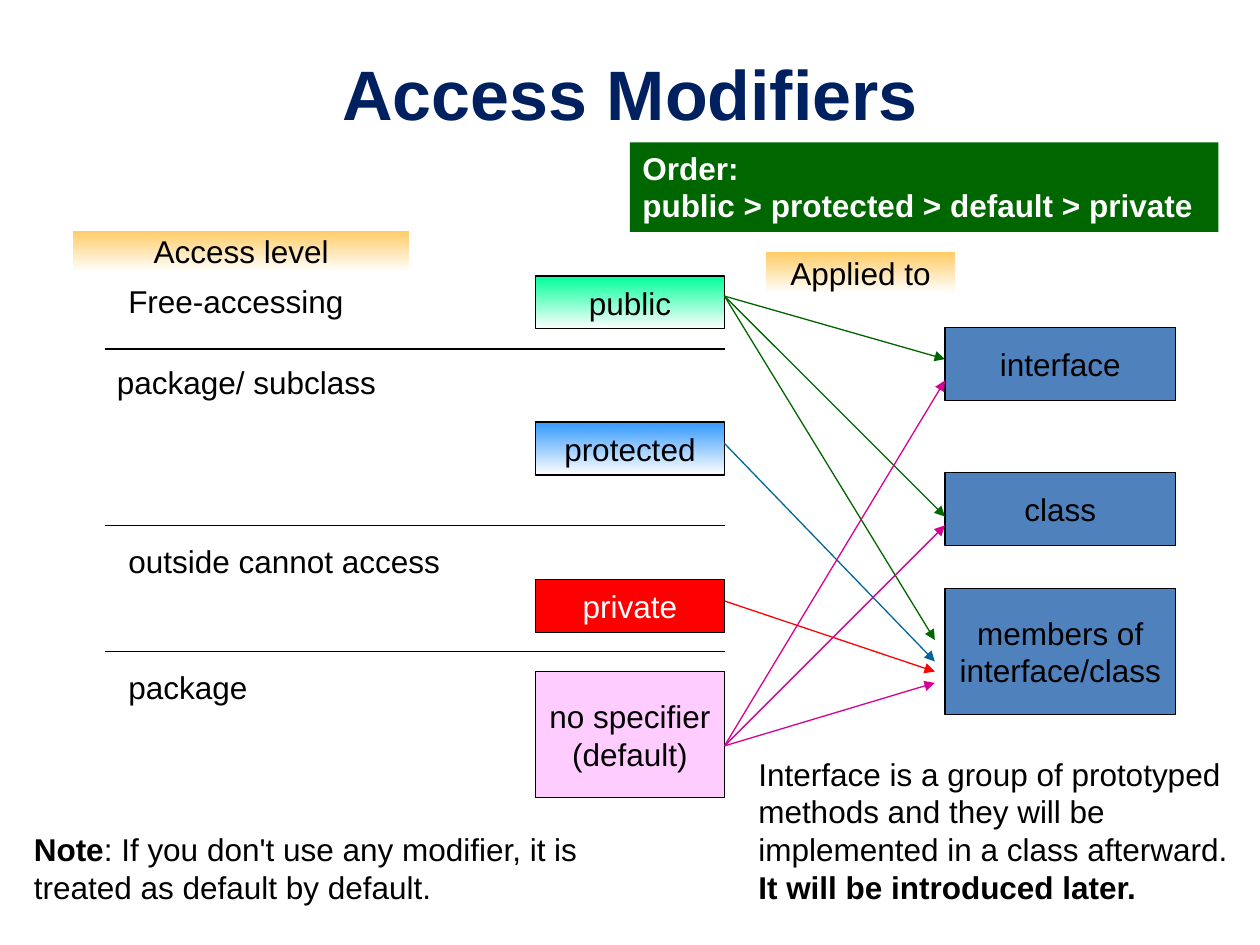
import pptx
import pptx.util
from lxml import etree
from pptx.dml.color import RGBColor
from pptx.enum.shapes import MSO_CONNECTOR, MSO_SHAPE
from pptx.enum.text import MSO_ANCHOR, PP_ALIGN
from pptx.oxml.ns import qn
from pptx.util import Inches

BLACK = RGBColor(0x00, 0x00, 0x00)
WHITE = RGBColor(0xFF, 0xFF, 0xFF)
NAVY = RGBColor(0x00, 0x20, 0x60)
AMBER = RGBColor(0xFF, 0xCC, 0x66)
MINT = RGBColor(0x00, 0xFF, 0x99)
SKY = RGBColor(0x33, 0x99, 0xFF)
RED = RGBColor(0xFF, 0x00, 0x00)
PINK = RGBColor(0xFF, 0xCC, 0xFF)
STEEL = RGBColor(0x4F, 0x81, 0xBD)
GREEN = RGBColor(0x00, 0x66, 0x00)
TEAL = RGBColor(0x00, 0x66, 0x99)
MAGENTA = RGBColor(0xD6, 0x00, 0x93)


class SlideBuilder:
    def __init__(self, slide):
        self.slide = slide
        self.font = "Arial"
        self.size = 18
        self.line_width = pptx.util.Pt(0.75)

    def fill_text(self, shape, paragraphs, color=BLACK, size=None, bold=False,
                  align=PP_ALIGN.LEFT, anchor=MSO_ANCHOR.TOP, wrap=True):
        """Each paragraph is a list of (text, bold) runs or a plain string."""
        frame = shape.text_frame
        frame.word_wrap = wrap
        frame.vertical_anchor = anchor
        for index, content in enumerate(paragraphs):
            paragraph = frame.add_paragraph() if index else frame.paragraphs[0]
            paragraph.alignment = align
            paragraph.font.name = self.font
            paragraph.font.size = pptx.util.Pt(size or self.size)
            paragraph.font.color.rgb = color
            if isinstance(content, str):
                paragraph.font.bold = bold
                paragraph.add_run().text = content
                continue
            for text, run_bold in content:
                run = paragraph.add_run()
                run.text = text
                run.font.bold = run_bold

    def text(self, left, top, width, height, paragraphs, **style):
        box = self.slide.shapes.add_textbox(
            Inches(left), Inches(top), Inches(width), Inches(height))
        self.fill_text(box, paragraphs, **style)

    def rectangle(self, left, top, width, height, paragraphs, fill,
                  fade=False, outline=True, **style):
        """Draw a labelled rectangle; fade runs the fill down to white."""
        shape = self.slide.shapes.add_shape(
            MSO_SHAPE.RECTANGLE,
            Inches(left), Inches(top), Inches(width), Inches(height))
        shape.shadow.inherit = False
        if fade:
            shape.fill.gradient()
            shape.fill.gradient_angle = 270
            for stop, color, position in zip(
                    shape.fill.gradient_stops, (fill, WHITE), (0, 1)):
                stop.color.rgb = color
                stop.position = position
        else:
            shape.fill.solid()
            shape.fill.fore_color.rgb = fill
        if outline:
            shape.line.color.rgb = BLACK
            shape.line.width = self.line_width
        else:
            shape.line.fill.background()
        self.fill_text(shape, paragraphs, **style)

    def label(self, *place, **style):
        self.rectangle(*place, align=PP_ALIGN.CENTER,
                       anchor=MSO_ANCHOR.MIDDLE, wrap=False, **style)

    def line(self, start, end, color=BLACK, arrow=False):
        connector = self.slide.shapes.add_connector(
            MSO_CONNECTOR.STRAIGHT, *map(Inches, start + end))
        connector.line.color.rgb = color
        connector.line.width = self.line_width
        properties = connector._element.spPr
        if arrow:
            outline = properties.find(qn("a:ln"))
            etree.SubElement(outline, qn("a:tailEnd"), type="triangle")
        etree.SubElement(properties, qn("a:effectLst"))


def main():
    presentation = pptx.Presentation()
    presentation.slide_width = Inches(10)
    presentation.slide_height = Inches(7.5)
    builder = SlideBuilder(
        presentation.slides.add_slide(presentation.slide_layouts[6]))

    builder.text(0.5, 0.3, 9, 0.87, ["Access Modifiers"], color=NAVY, size=40,
                 bold=True, align=PP_ALIGN.CENTER, anchor=MSO_ANCHOR.MIDDLE)

    for left, top, width, heading in ((0.58, 1.83, 2.67, "Access level"),
                                      (6.08, 2, 1.5, "Applied to")):
        builder.label(left, top, width, 0.33, [heading],
                      fill=AMBER, fade=True, outline=False)

    modifiers = (
        (2.19, 0.42, ["public"], MINT, True, BLACK),
        (3.35, 0.42, ["protected"], SKY, True, BLACK),
        (4.6, 0.42, ["private"], RED, False, WHITE),
        (5.33, 1, ["no specifier", "(default)"], PINK, False, BLACK),
    )
    for top, height, name, fill, fade, color in modifiers:
        builder.label(4.25, top, 1.5, height, name,
                      fill=fill, fade=fade, color=color)

    targets = (
        (2.6, 0.58, ["interface"]),
        (3.75, 0.58, ["class"]),
        (4.67, 1, ["members of", "interface/class"]),
    )
    for top, height, name in targets:
        builder.label(7.5, top, 1.83, height, name, fill=STEEL)

    arrows = (
        (2.35, GREEN, ((7.5, 2.85), (7.5, 4.1), (7.42, 5.08))),
        (4.77, RED, ((7.42, 5.33),)),
        (3.52, TEAL, ((7.42, 5.25),)),
        (5.92, MAGENTA, ((7.5, 3.02), (7.5, 4.17), (7.42, 5.42))),
    )
    for start_y, color, ends in arrows:
        for end in ends:
            builder.line((5.75, start_y), end, color, arrow=True)

    access_levels = (
        (0.92, 2.19, "Free-accessing"),
        (0.83, 2.83, "package/ subclass"),
        (0.92, 4.25, "outside cannot access"),
        (0.92, 5.25, "package"),
    )
    for left, top, level in access_levels:
        builder.text(left, top, 3, 0.4, [level])
    for y in (2.77, 4.17, 5.17):
        builder.line((0.83, y), (5.75, y))

    builder.text(5.92, 5.94, 4.08, 1.31, [[
        ("Interface is a group of prototyped methods and they will be "
         "implemented in a class afterward. ", False),
        ("It will be introduced later.", True)]])
    builder.rectangle(5, 1.13, 4.67, 0.71,
                      ["Order:", "public > protected > default > private"],
                      fill=GREEN, outline=False, color=WHITE, bold=True)
    builder.text(0.17, 6.54, 4.68, 0.71, [[
        ("Note", True),
        (": If you don't use any modifier, it is treated as default "
         "by default.", False)]])

    presentation.save("out.pptx")


if __name__ == "__main__":
    main()
